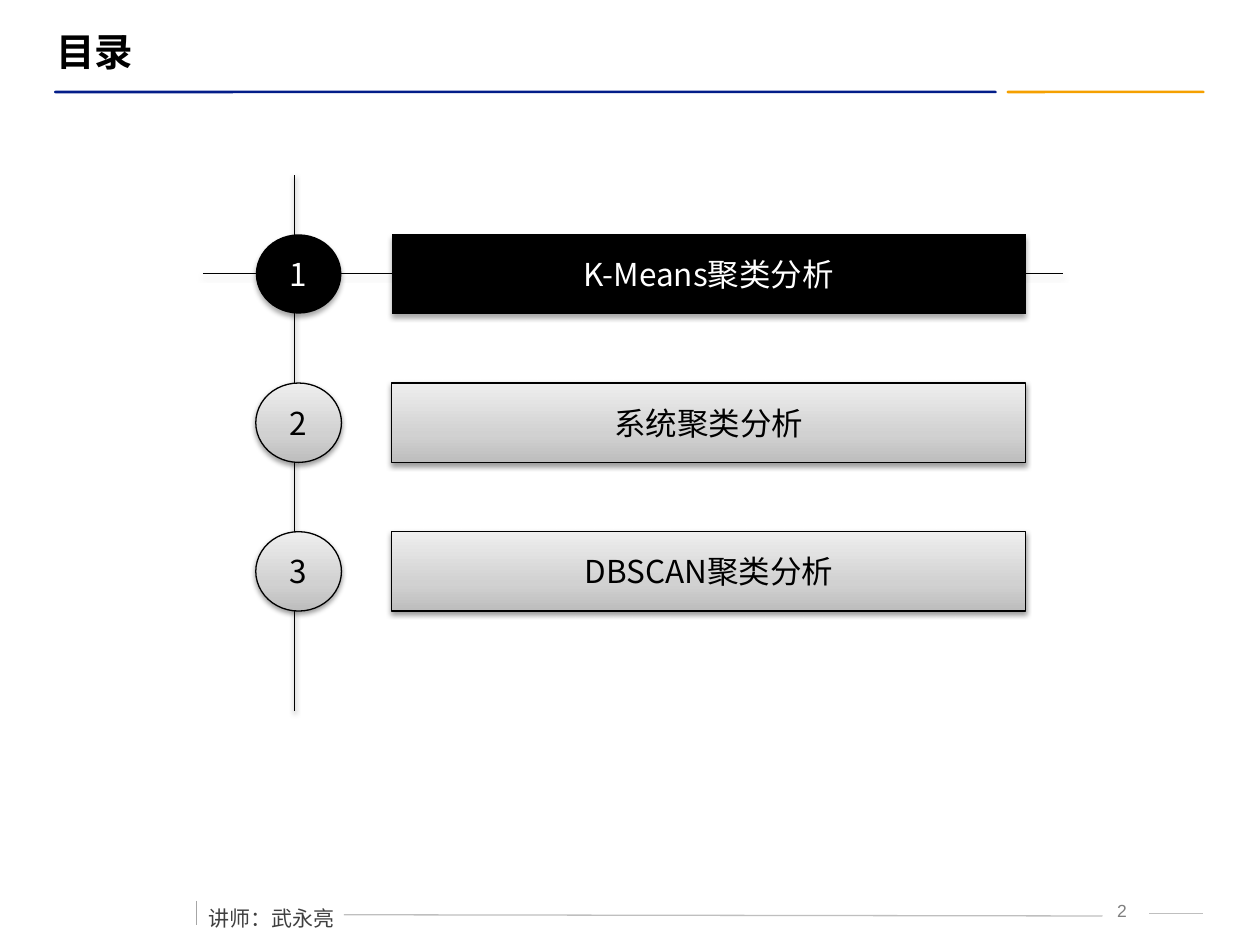
import copy
import pptx
import pptx.util
import pptx.dml.color
import pptx.enum.shapes
import pptx.enum.text
import pptx.oxml.ns
import lxml.etree

Pt = pptx.util.Pt
RGB = pptx.dml.color.RGBColor
Kind = pptx.enum.shapes.MSO_SHAPE
Align = pptx.enum.text.PP_ALIGN
Anchor = pptx.enum.text.MSO_ANCHOR
qn = pptx.oxml.ns.qn

BLACK = RGB(0, 0, 0)
WHITE = RGB(255, 255, 255)
NAVY = RGB(0x03, 0x1D, 0x89)
AMBER = RGB(0xF5, 0xA0, 0x00)
DARK = RGB(0x40, 0x40, 0x40)
GRAY = RGB(0x7F, 0x7F, 0x7F)
TICK = RGB(0xA6, 0xA6, 0xA6)
RULE = RGB(0xBF, 0xBF, 0xBF)
SHADES = [RGB(0xBD, 0xBD, 0xBD), RGB(0xD1, 0xD1, 0xD1), RGB(0xEE, 0xEE, 0xEE)]
STOPS = [0, 0.35, 1]

SANS = "Noto Sans CJK SC"
WIDE, HIGH = pptx.util.Inches(10), pptx.util.Inches(7.5)
COLS, ROWS = 100, 75
TOPICS = ["K-Means聚类分析", "系统聚类分析", "DBSCAN聚类分析"]


def place(box, x, y):
    return round((box[0] + x) * WIDE / COLS), round((box[1] + y) * HIGH / ROWS)


def area(box, x, y, w, h):
    return (*place(box, x, y), *place((0, 0), w, h))


def shade(part, alpha, dist):
    props = part._element.spPr
    old = props.find(qn("a:effectLst"))
    if old is not None:
        props.remove(old)
    group = lxml.etree.SubElement(props, qn("a:effectLst"))
    if alpha:
        drop = lxml.etree.SubElement(
            group, qn("a:outerShdw"), blurRad=str(Pt(3.1)), dist=str(Pt(dist)),
            dir="5400000", rotWithShape="0")
        tone = lxml.etree.SubElement(drop, qn("a:srgbClr"), val=str(BLACK))
        lxml.etree.SubElement(tone, qn("a:alpha"), val=str(alpha * 1000))


def rule(slide, box, start, end, color, alpha=0):
    line = slide.shapes.add_connector(
        pptx.enum.shapes.MSO_CONNECTOR.STRAIGHT, *place(box, *start), *place(box, *end))
    line.line.color.rgb = color
    line.line.width = Pt(0.75)
    shade(line, alpha, 1.6)


def write(shape, text, size, color, face=SANS, align=Align.LEFT,
          anchor=Anchor.TOP, wrap=False, bold=False):
    frame = shape.text_frame
    frame.word_wrap = wrap
    frame.vertical_anchor = anchor
    para = frame.paragraphs[0]
    para.text = text
    para.alignment = align
    font = para.font
    font.size, font.bold, font.name = Pt(size), bold, face
    font.color.rgb = color
    base = para._p.pPr.find(qn("a:defRPr"))
    lxml.etree.SubElement(base, qn("a:ea"), typeface=SANS)
    return para


def blend(shape):
    shape.fill.gradient()
    shape.fill.gradient_angle = 90
    group = shape._element.spPr.find(qn("a:gradFill")).find(qn("a:gsLst"))
    group.insert(1, copy.deepcopy(group[0]))
    for stop, shade_rgb, spot in zip(shape.fill.gradient_stops, SHADES, STOPS):
        stop.color.rgb = shade_rgb
        stop.position = spot


def panel(slide, kind, spot, text, active):
    shape = slide.shapes.add_shape(kind, *spot)
    shape.shadow.inherit = False
    if active:
        shape.fill.solid()
        shape.fill.fore_color.rgb = BLACK
        shape.line.fill.background()
        shade(shape, 35, 1.8)
    else:
        blend(shape)
        shape.line.color.rgb = BLACK
        shape.line.width = Pt(0.75)
        shade(shape, 38, 1.6)
    write(shape, text, 18, WHITE if active else BLACK,
          align=Align.CENTER, anchor=Anchor.MIDDLE)


def header(slide, box):
    for x, w, color in [(0.8, 74.8, NAVY), (76.4, 15.7, AMBER)]:
        bar = slide.shapes.add_shape(Kind.ROUNDED_RECTANGLE, *area(box, x, 5.5, w, 0.2))
        bar.shadow.inherit = False
        bar.adjustments[0] = 0.5
        bar.fill.solid()
        bar.fill.fore_color.rgb = color
        bar.line.fill.background()
    title = slide.shapes.add_textbox(*area(box, 0, 0, 89, 4.7))
    write(title, "目录", 22, BLACK, face="Arial", anchor=Anchor.MIDDLE,
          wrap=True, bold=True)


def agenda(slide, box):
    rule(slide, box, (7.3, 0), (7.3, 42.5), BLACK, 38)
    rule(slide, box, (0, 7.8), (68.3, 7.8), BLACK, 38)
    for i, topic in enumerate(TOPICS):
        y = 4.7 + 11.8 * i
        panel(slide, Kind.OVAL, area(box, 4.2, y, 6.8, 6.3), str(i + 1), i == 0)
        panel(slide, Kind.ACTION_BUTTON_CUSTOM, area(box, 15, y, 50.3, 6.3),
              topic, i == 0)


def footer(slide, box):
    rule(slide, box, (11.7, 2.2), (71.9, 2.3), RULE)
    rule(slide, box, (75.6, 2.1), (79.9, 2.1), RULE)
    rule(slide, box, (0, 1.1), (0, 3), TICK)
    label = slide.shapes.add_textbox(*area(box, 0, 0, 12.1, 3.6))
    para = write(label, "讲师：武永亮", 12, DARK)
    para.line_spacing = 1.5
    para.space_before = Pt(6)
    page = slide.shapes.add_textbox(*area(box, 71.1, 0.5, 4.7, 2.5))
    write(page, "2", 10, GRAY, face="Arial", align=Align.CENTER, wrap=True)


def main():
    deck = pptx.Presentation()
    deck.slide_width, deck.slide_height = WIDE, HIGH
    slide = deck.slides.add_slide(deck.slide_layouts[6])
    header(slide, (3.5, 1.7))
    footer(slide, (15.6, 70.4))
    agenda(slide, (16.1, 13.9))
    deck.save("out.pptx")


if __name__ == "__main__":
    main()
